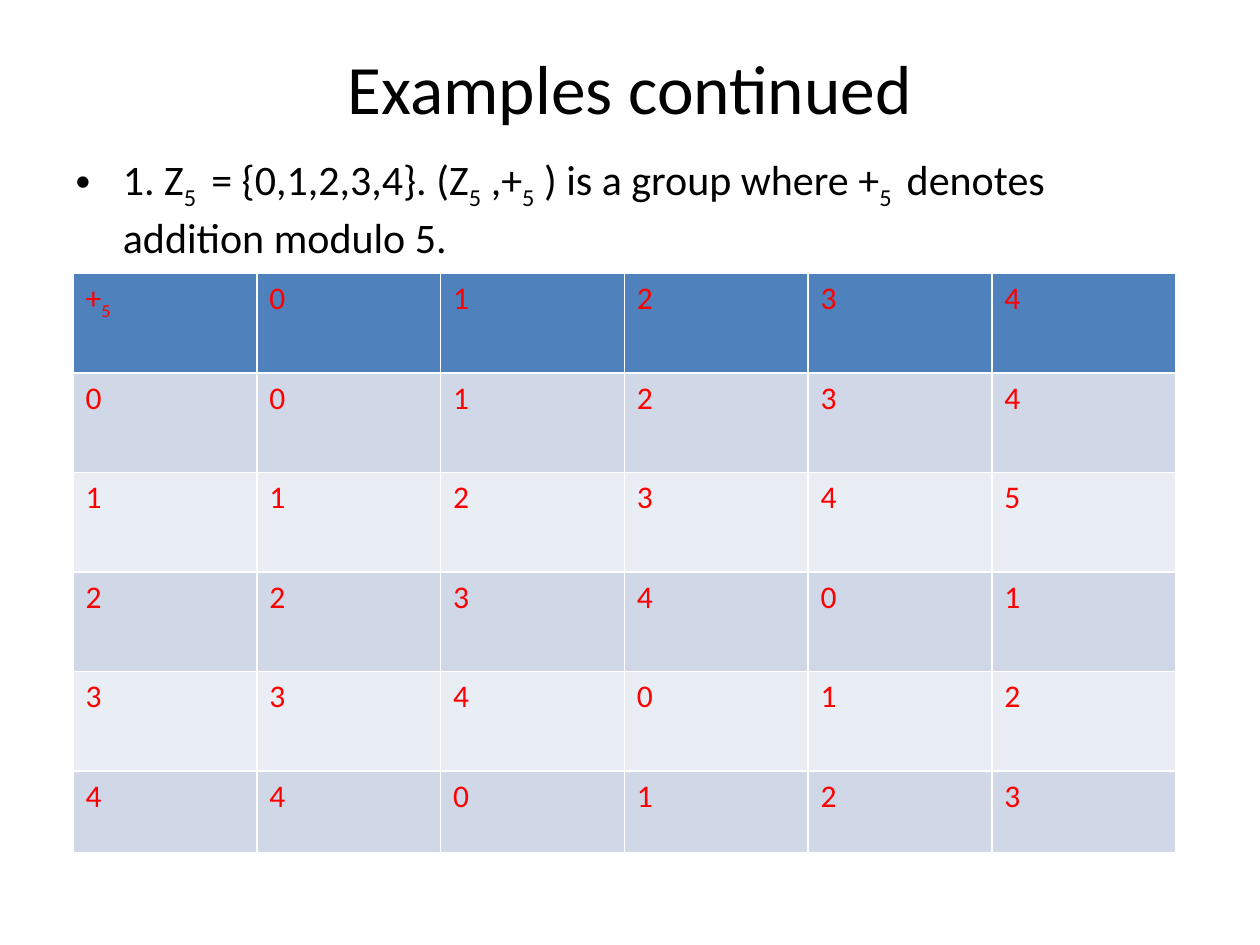
from pptx import Presentation
from pptx.dml.color import RGBColor
from pptx.enum.text import MSO_ANCHOR, MSO_AUTO_SIZE, PP_ALIGN
from pptx.util import Inches, Pt

BLACK = RGBColor(0x00, 0x00, 0x00)
RED = RGBColor(0xFF, 0x00, 0x00)
HEADER_BLUE = RGBColor(0x4F, 0x81, 0xBD)
BAND_DARK = RGBColor(0xD0, 0xD8, 0xE8)
BAND_LIGHT = RGBColor(0xE9, 0xED, 0xF4)

TITLE_FORMAT = {"name": "Calibri", "size": Pt(39.6), "bold": False}
BODY_FORMAT = {"name": "Calibri", "size": Pt(24), "bold": False}
CELL_FORMAT = {"name": "Calibri", "size": Pt(18), "bold": False}

# Text pieces alternate: normal, subscript, normal, ...
GROUP_STATEMENT = [
    "1. Z", "5 ", " = {0,1,2,3,4}. (Z", "5", " ,+", "5",
    " ) is a group where +", "5 ", " denotes addition modulo 5.",
]
ADDITION_TABLE = [
    [["+", "5"], "0", "1", "2", "3", "4"],
    ["0", "0", "1", "2", "3", "4"],
    ["1", "1", "2", "3", "4", "5"],
    ["2", "2", "3", "4", "0", "1"],
    ["3", "3", "4", "0", "1", "2"],
    ["4", "4", "0", "1", "2", "3"],
]
COLUMN_WIDTH = 8.75 / 6
ROW_HEIGHT = 0.79
LAST_ROW_HEIGHT = 0.65


def write_spans(para, pieces, text_format, color):
    """Add the pieces as spans, lowering every second one to a subscript."""
    for index, piece in enumerate(pieces):
        span = para.add_run()
        span.text = piece
        for name, value in text_format.items():
            setattr(span.font, name, value)
        span.font.color.rgb = color
        if index % 2:
            span._r.get_or_add_rPr().set("baseline", "-25000")


def fill_placeholder(box, place, pieces, text_format, anchor):
    box.left, box.top, box.width, box.height = map(Inches, place)
    frame = box.text_frame
    frame.auto_size = MSO_AUTO_SIZE.NONE
    frame.vertical_anchor = anchor
    para = frame.paragraphs[0]
    para.space_before = Pt(0)
    write_spans(para, pieces, text_format, BLACK)
    return para


def row_color(row_index):
    if row_index == 0:
        return HEADER_BLUE
    return BAND_DARK if row_index % 2 else BAND_LIGHT


def add_addition_table(page):
    row_count, column_count = len(ADDITION_TABLE), len(ADDITION_TABLE[0])
    table = page.shapes.add_table(
        row_count, column_count, Inches(0.58), Inches(2.17),
        Inches(COLUMN_WIDTH * column_count),
        Inches(ROW_HEIGHT * (row_count - 1) + LAST_ROW_HEIGHT),
    ).table
    for column in table.columns:
        column.width = Inches(COLUMN_WIDTH)
    for row_index, values in enumerate(ADDITION_TABLE):
        is_last = row_index == row_count - 1
        table.rows[row_index].height = Inches(LAST_ROW_HEIGHT if is_last else ROW_HEIGHT)
        for column_index, pieces in enumerate(values):
            cell = table.cell(row_index, column_index)
            cell.fill.solid()
            cell.fill.fore_color.rgb = row_color(row_index)
            write_spans(cell.text_frame.paragraphs[0], pieces, CELL_FORMAT, RED)


def main():
    deck = Presentation()
    deck.slide_width, deck.slide_height = Inches(10), Inches(7.5)
    page = deck.slides.add_slide(deck.slide_layouts[1])
    title = fill_placeholder(page.shapes.title, (0.5, 0.3, 9, 0.78),
                             ["Examples continued"], TITLE_FORMAT, MSO_ANCHOR.MIDDLE)
    title.alignment = PP_ALIGN.CENTER
    fill_placeholder(page.placeholders[1], (0.5, 1.17, 9, 5.53),
                     GROUP_STATEMENT, BODY_FORMAT, MSO_ANCHOR.TOP)
    add_addition_table(page)
    deck.save("out.pptx")


if __name__ == "__main__":
    main()
